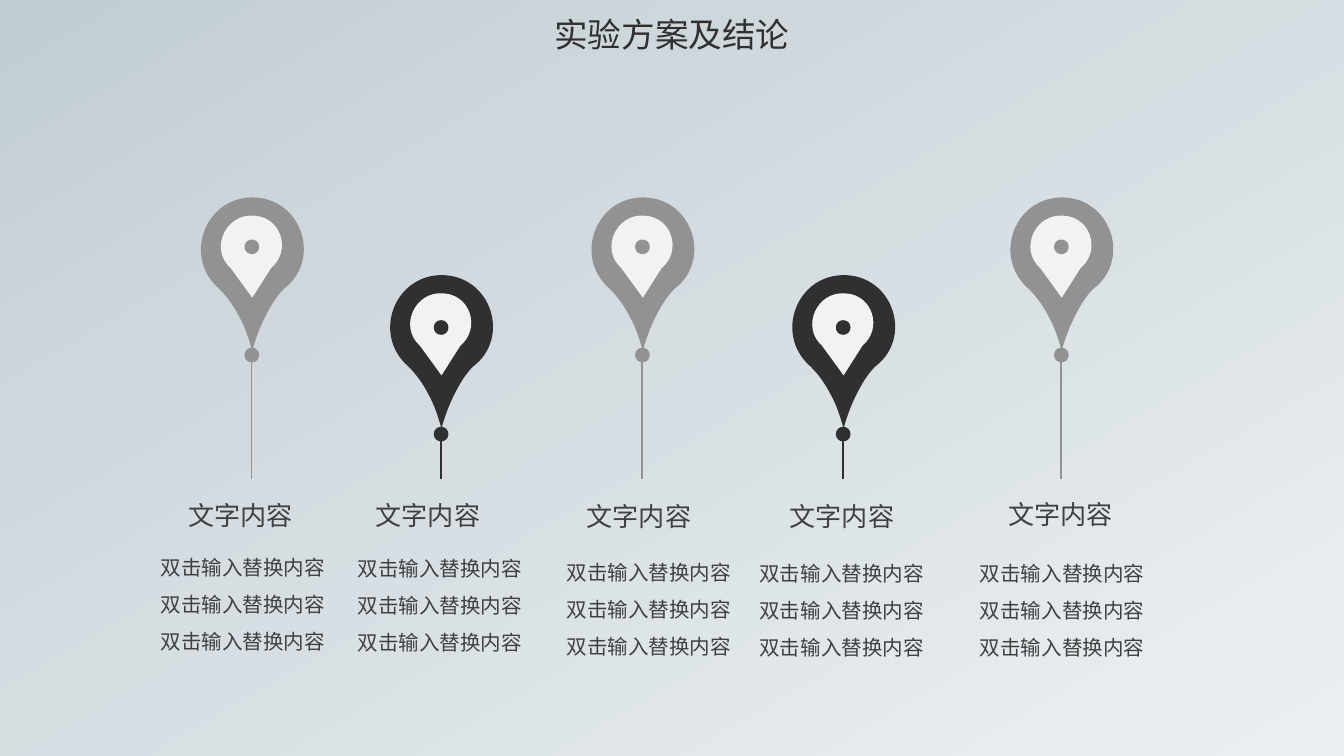
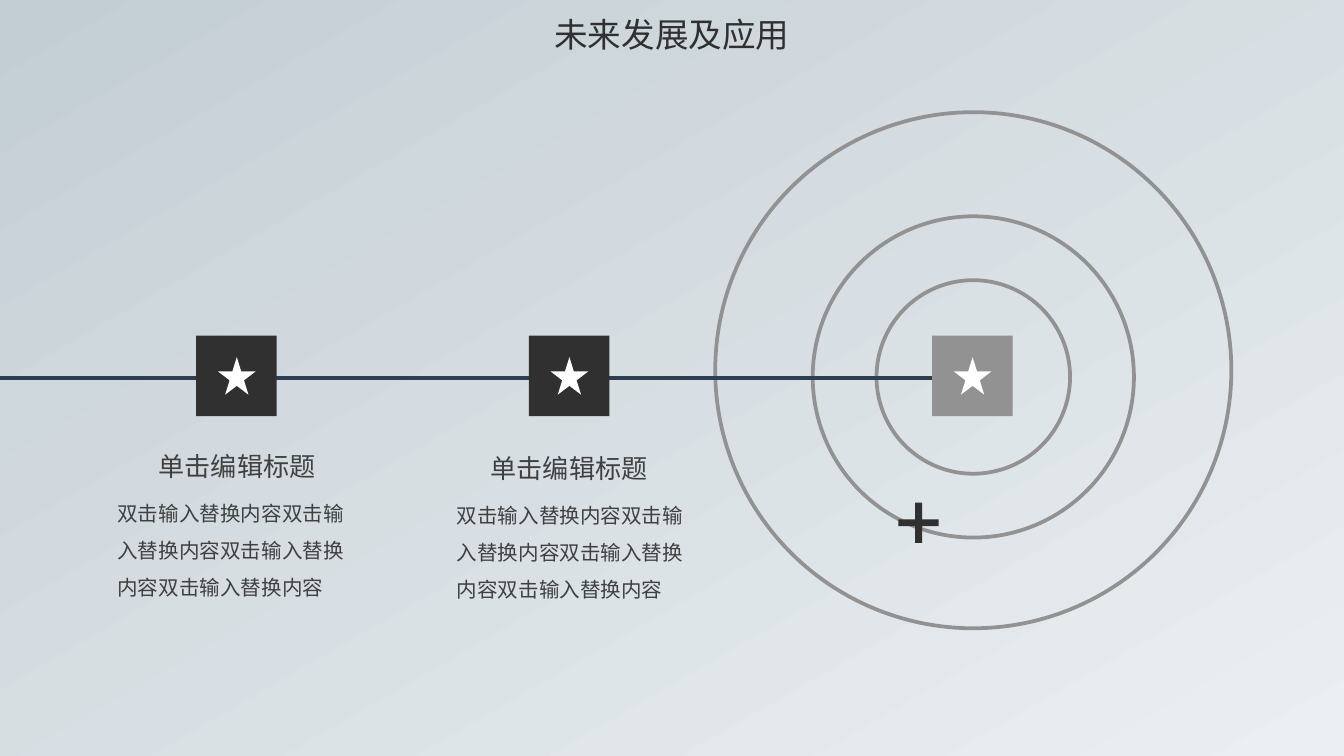
from dataclasses import dataclass

from lxml.etree import SubElement
from pptx import Presentation
from pptx.dml.color import RGBColor
from pptx.enum.shapes import MSO_CONNECTOR as Connector, MSO_SHAPE as Preset
from pptx.enum.text import MSO_ANCHOR as Anchor, MSO_AUTO_SIZE as AutoSize, PP_ALIGN as Align
from pptx.oxml.ns import qn
from pptx.util import Emu, Inches, Pt


@dataclass(frozen=True)
class Theme:
    font: str = "Noto Sans CJK SC"
    sky: str = "C3CED4"
    mist: str = "EBEFF2"
    dark: str = "303030"
    grey: str = "929292"
    pale: str = "F2F2F2"
    white: str = "FFFFFF"
    navy: str = "2D3E50"
    copy: str = "404040"
    title_size: int = 18
    heading_size: int = 14
    body_size: int = 11


@dataclass(frozen=True)
class Outline:
    width: float
    height: float
    segments: tuple
    closed: bool = True


@dataclass(frozen=True)
class PinLevel:
    top: float
    eye: float
    tip: float
    stem: float
    color: str


THEME = Theme()
COLUMNS = 100
SLIDE_WIDTH, SLIDE_HEIGHT = Inches(10), Inches(5.625)
CELL = SLIDE_WIDTH / COLUMNS

DROP = Outline(7.6, 11.4, (
    [(1.4, 6.8)],
    [(-1.4, 4.4), (0.4, -0.2), (4.1, 0)],
    [(7.6, 0.2), (9, 4.7), (6.2, 6.8)],
    [(5.6, 7.4), (5.2, 8.1), (4.8, 8.9)],
    [(4.4, 9.7), (4.1, 10.5), (3.85, 11.4)],
    [(3.6, 10.5), (3.3, 9.6), (2.9, 8.9)],
    [(2.5, 8.1), (2, 7.4), (1.4, 6.8)],
))
HEART = Outline(4.5, 6.1, (
    [(3.7, 3.9)],
    [(5.25, 2.6), (4.45, 0.1), (2.45, 0)],
    [(0.3, -0.2), (-0.9, 2.5), (0.7, 3.9)],
    [(2.3, 6.1)],
    [(3.7, 3.9)],
))
DOT = Outline(1.1, 1.1, (
    [(0.94, 0.16)],
    [(1.15, 0.37), (1.15, 0.73), (0.94, 0.94)],
    [(0.73, 1.15), (0.37, 1.15), (0.16, 0.94)],
    [(-0.05, 0.73), (-0.05, 0.37), (0.16, 0.16)],
    [(0.37, -0.05), (0.73, -0.05), (0.94, 0.16)],
))
TIMELINE = Outline(73, 0.6, ([(0, 0.6)], [(73, 0.6)]), closed=False)


def grid(cells):
    return Emu(round(cells * CELL))


class Deck:
    def __init__(self, theme):
        self.theme = theme
        self.presentation = Presentation()
        self.presentation.slide_width = SLIDE_WIDTH
        self.presentation.slide_height = SLIDE_HEIGHT

    def new_slide(self):
        self.slide = self.presentation.slides.add_slide(self.presentation.slide_layouts[6])
        backdrop = self.slide.background.fill
        backdrop.gradient()
        backdrop.gradient_angle = 300
        for stop, color in zip(backdrop.gradient_stops, (self.theme.sky, self.theme.mist)):
            stop.color.rgb = RGBColor.from_string(color)
        self.ungroup()

    def title(self, words):
        self.text(words, 36.95, 0.65, 26.1, 3.8, self.theme.title_size, self.theme.dark,
                  align=Align.CENTER, insets=(0.7, 0.4))

    def group(self):
        self.canvas = self.slide.shapes.add_group_shape().shapes

    def ungroup(self):
        self.canvas = self.slide.shapes

    def text(self, words, left, top, width, height, size, color=None, align=None,
             anchor=Anchor.TOP, insets=(1, 0.5), wrap=True, spacing=None):
        frame = self.canvas.add_textbox(*map(grid, (left, top, width, height))).text_frame
        frame.word_wrap = wrap
        frame.auto_size = AutoSize.SHAPE_TO_FIT_TEXT
        frame.vertical_anchor = anchor
        frame.margin_left = frame.margin_right = grid(insets[0])
        frame.margin_top = frame.margin_bottom = grid(insets[1])
        frame.text = words
        paragraph = frame.paragraphs[0]
        paragraph.alignment = align
        paragraph.line_spacing = spacing
        run = paragraph.runs[0]
        run.font.size = Pt(size)
        run.font.name = self.theme.font
        run.font.color.rgb = RGBColor.from_string(color or self.theme.copy)
        SubElement(run.font._element, qn("a:ea"), typeface=self.theme.font)

    def paint(self, shape, fill=None, stroke=None, weight=2):
        shape.shadow.inherit = False
        if fill:
            shape.fill.solid()
            shape.fill.fore_color.rgb = RGBColor.from_string(fill)
        else:
            shape.fill.background()
        if stroke:
            shape.line.color.rgb = RGBColor.from_string(stroke)
            shape.line.width = Pt(weight)
        else:
            shape.line.fill.background()

    def shape(self, preset, left, top, size, fill=None, stroke=None, adjustment=None):
        shape = self.canvas.add_shape(preset, *map(grid, (left, top, size, size)))
        if adjustment is not None:
            shape.adjustments[0] = adjustment
        self.paint(shape, fill, stroke)

    def outline(self, outline, left, top, fill=None, stroke=None):
        builder = self.canvas.build_freeform(grid(left), grid(top), scale=1.0)
        corner = grid(left + outline.width), grid(top + outline.height)
        builder.add_line_segments([corner], close=False)
        shape = builder.convert_to_shape()
        route = next(shape._element.iter(qn("a:path")))
        for step in list(route):
            route.remove(step)
        for index, segment in enumerate(outline.segments):
            curve = "cubicBezTo" if len(segment) == 3 else "lnTo"
            step = SubElement(route, qn(f"a:{curve if index else 'moveTo'}"))
            for x, y in segment:
                SubElement(step, qn("a:pt"), x=str(grid(x)), y=str(grid(y)))
        if outline.closed:
            SubElement(route, qn("a:close"))
        self.paint(shape, fill, stroke)

    def line(self, x1, y1, x2, y2, color, weight):
        line = self.canvas.add_connector(Connector.STRAIGHT, *map(grid, (x1, y1, x2, y2)))
        line.line.color.rgb = RGBColor.from_string(color)
        line.line.width = Pt(weight)
        SubElement(line._element.spPr, qn("a:effectLst"))

    def pin(self, left, level):
        stem_x = left + 3.8
        self.line(stem_x, 35.62, stem_x, level.stem, level.color, 1)
        self.outline(DROP, left, level.top, level.color)
        self.outline(HEART, left + 1.55, level.top + 1.35, self.theme.pale)
        for dot_top in (level.tip, level.eye):
            self.outline(DOT, left + 3.27, dot_top, level.color)

    def star_tile(self, left, top, color):
        self.group()
        self.shape(Preset.RECTANGLE, left, top, 6, color)
        self.shape(Preset.STAR_5_POINT, left + 1.62, top + 1.6, 2.8, self.theme.white)
        self.ungroup()


def build_experiment(deck):
    theme = deck.theme
    deck.new_slide()
    stations = [
        (14.92, (14, 36.15), (11.95, 40.45, 13.6)),
        (29, (27.95, 36.15), (26.6, 40.5, 12.5)),
        (43.98, (43.65, 36.2), (42.15, 40.8, 13.2)),
        (58.92, (58.75, 36.2), (56.5, 40.9, 13.6)),
        (75.15, (75, 36.1), (72.9, 40.9, 13.2)),
    ]
    levels = [
        PinLevel(top=14.7, eye=17.82, tip=25.87, stem=26.3, color=theme.grey),
        PinLevel(top=20.48, eye=23.82, tip=31.75, stem=32.8, color=theme.dark),
    ]
    flush = dict(anchor=Anchor.MIDDLE, insets=(0, 0), spacing=1.5)
    for index, (pin_left, heading_at, body_at) in enumerate(stations):
        deck.group()
        deck.pin(pin_left, levels[index % 2])
        deck.text("文字内容", *heading_at, 7.9, 3.2, theme.heading_size, wrap=False, **flush)
        deck.text("双击输入替换内容" * 3, *body_at, 8.1, theme.body_size, **flush)
        deck.ungroup()
    deck.title("实验方案及结论")


def build_future(deck):
    theme = deck.theme
    deck.new_slide()
    for diameter, center_y in ((14.4, 28.05), (23.9, 28.05), (38.4, 27.55)):
        deck.shape(Preset.OVAL, 72.42 - diameter / 2, center_y - diameter / 2, diameter,
                   stroke=theme.grey)
    deck.outline(TIMELINE, 0, 27.56, stroke=theme.navy)
    for left, color in ((14.6, theme.dark), (39.35, theme.dark), (69.35, theme.grey)):
        deck.star_tile(left, 24.97, color)
    for heading_at, body_at in (((10.75, 33), (7.75, 35.9)), ((35.45, 33.2), (33, 36))):
        deck.group()
        deck.text("双击输入替换内容" * 4, *body_at, 19.9, 9.1, theme.body_size, spacing=1.5)
        deck.text("单击编辑标题", *heading_at, 13.8, 3.4, theme.heading_size,
                  align=Align.CENTER, wrap=False)
        deck.ungroup()
    deck.shape(Preset.CROSS, 66.85, 37.4, 3, theme.dark, adjustment=0.414)
    deck.title("未来发展及应用")


def main():
    deck = Deck(THEME)
    build_experiment(deck)
    build_future(deck)
    deck.presentation.save("out.pptx")


if __name__ == "__main__":
    main()
